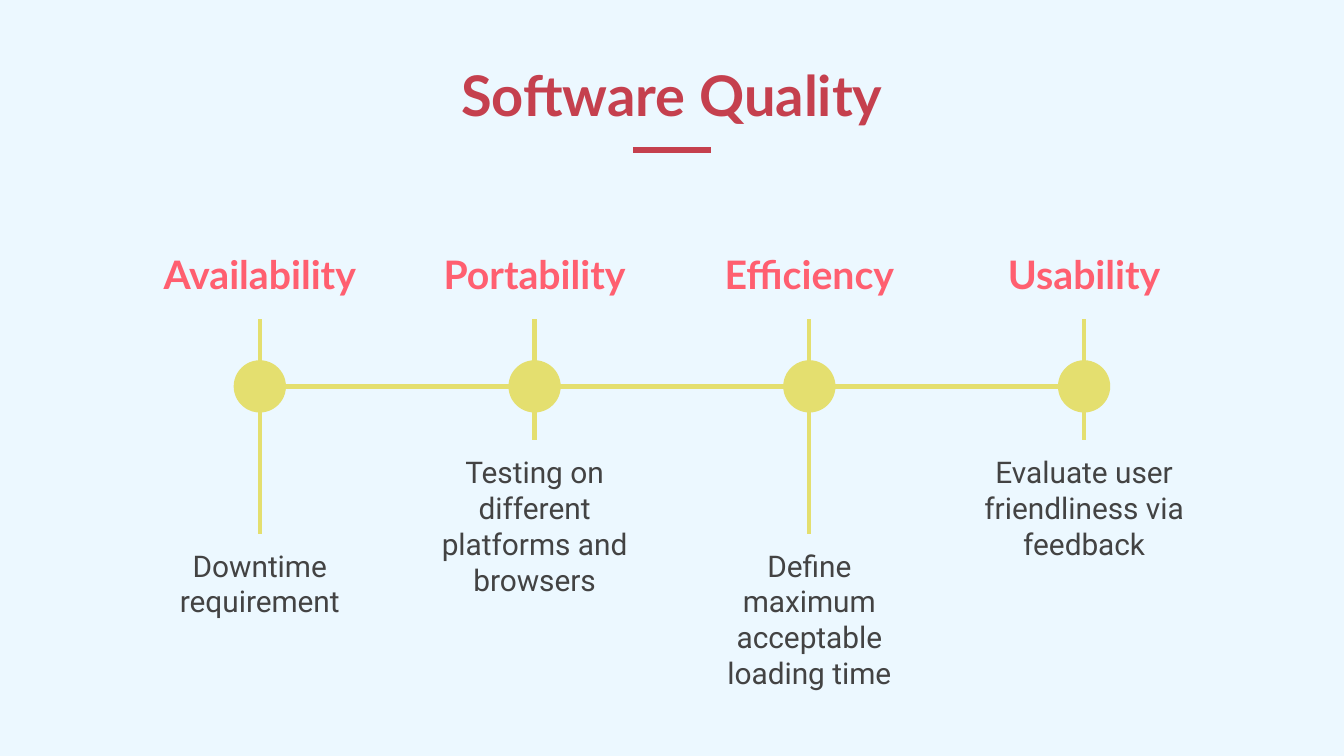
from lxml.etree import SubElement
from pptx import Presentation
from pptx.dml.color import RGBColor
from pptx.enum.shapes import MSO_CONNECTOR, MSO_SHAPE
from pptx.enum.text import MSO_ANCHOR, MSO_AUTO_SIZE, PP_ALIGN
from pptx.oxml.ns import qn
from pptx.util import Pt

CRIMSON, CORAL, YELLOW, GREY, SKY = "C5404E", "FF5F70", "E4DF6F", "434343", "ECF8FF"
QUALITIES = [
    ("Availability", "Downtime requirement", 286),
    ("Portability", "Testing on different platforms and browsers", 236),
    ("Efficiency", "Define maximum acceptable loading time", 286),
    ("Usability", "Evaluate user friendliness via feedback", 236),
]


def color(value):
    """Turn a hex string into a colour."""
    return RGBColor.from_string(value)


def add_line(page, start, end, value, weight):
    """Draw a straight line between two points."""
    points = [Pt(length) for length in (*start, *end)]
    line = page.shapes.add_connector(MSO_CONNECTOR.STRAIGHT, *points)
    line.line.color.rgb = color(value)
    line.line.width = Pt(weight)
    SubElement(line._element.spPr, qn("a:effectLst"))


def write(shape, text, font, size, value, bold=False, anchor=MSO_ANCHOR.TOP):
    """Fill a shape with one centred, wrapped paragraph."""
    frame = shape.text_frame
    frame.text = text
    frame.word_wrap = True
    frame.auto_size = MSO_AUTO_SIZE.NONE
    frame.vertical_anchor = anchor
    frame.margin_left = frame.margin_right = Pt(7.2)
    frame.margin_top = frame.margin_bottom = Pt(7.2)
    paragraph = frame.paragraphs[0]
    paragraph.alignment = PP_ALIGN.CENTER
    paragraph.font.name = font
    paragraph.font.size = Pt(size)
    paragraph.font.bold = bold
    paragraph.font.color.rgb = color(value)


def add_heading(page, left, top, width, height):
    """Place the slide title with a short rule centred below it."""
    title = page.shapes.title
    title.left, title.top = Pt(left), Pt(top)
    title.width, title.height = Pt(width), Pt(height)
    write(title, "Software Quality", "Lato", 30, CRIMSON, True, MSO_ANCHOR.BOTTOM)
    center, rule = left + width / 2, top + height + 5
    add_line(page, (center - 21, rule), (center + 21, rule), CRIMSON, 3)


def add_quality(page, left, top, width, name, detail, stem_end):
    """Place one column: name, node on a stem, and detail below the stem."""
    center, stem_top, radius = left + width / 2, top + 44, 14
    heading = page.shapes.add_textbox(Pt(left), Pt(top), Pt(width), Pt(44))
    write(heading, name, "Lato", 21, CORAL, True)
    add_line(page, (center, stem_top), (center, stem_end), YELLOW, 2.25)
    node = page.shapes.add_shape(
        MSO_SHAPE.OVAL, Pt(center - radius), Pt(top + 80 - radius),
        Pt(2 * radius), Pt(2 * radius))
    node.shadow.inherit = False
    node.fill.solid()
    node.fill.fore_color.rgb = color(YELLOW)
    node.line.fill.background()
    body = page.shapes.add_textbox(Pt(left), Pt(stem_end), Pt(width), Pt(90))
    write(body, detail, "Roboto", 16, GREY)


def add_timeline(page, left, top, width, column):
    """Spread the quality columns evenly and join their nodes."""
    pitch = (width - column) / (len(QUALITIES) - 1)
    add_line(page, (left + column / 2, top + 80),
             (left + width - column / 2, top + 80), YELLOW, 3)
    for index, quality in enumerate(QUALITIES):
        add_quality(page, left + index * pitch, top, column, *quality)


def main():
    """Build and save the deck."""
    deck = Presentation()
    deck.slide_width, deck.slide_height = Pt(720), Pt(405)
    page = deck.slides.add_slide(deck.slide_layouts[5])
    page.background.fill.solid()
    page.background.fill.fore_color.rgb = color(SKY)
    add_heading(page, 62.5, 16, 595, 59.5)
    add_timeline(page, 76.2, 127, 567.6, 126)
    deck.save("out.pptx")


if __name__ == "__main__":
    main()
